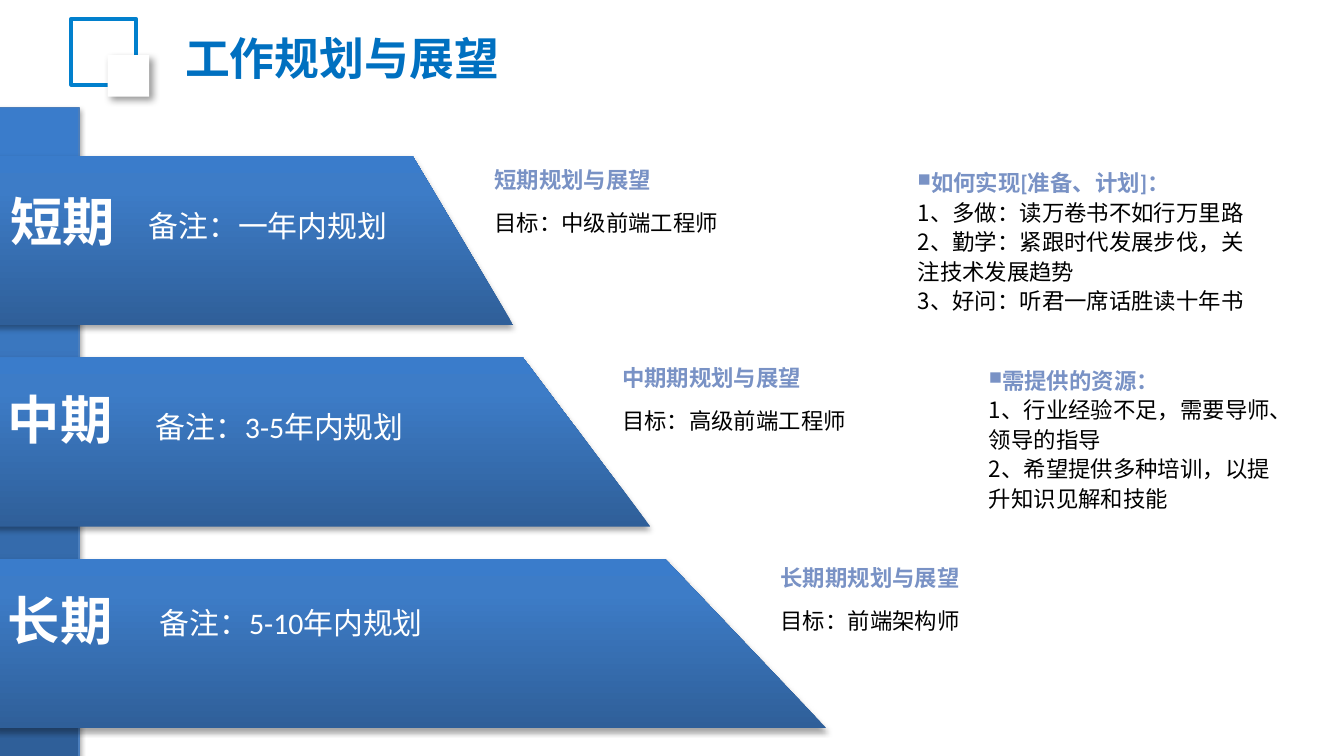
from copy import deepcopy

from lxml import etree
from pptx import Presentation
from pptx.dml.color import RGBColor
from pptx.enum.shapes import MSO_SHAPE
from pptx.enum.text import MSO_ANCHOR, MSO_AUTO_SIZE
from pptx.oxml.ns import qn
from pptx.util import Inches, Pt

RECT = MSO_SHAPE.RECTANGLE
MIDDLE = MSO_ANCHOR.MIDDLE
GROW, FIXED = MSO_AUTO_SIZE.SHAPE_TO_FIT_TEXT, MSO_AUTO_SIZE.NONE

BAR_FILL = [(0, "2F5F99"), (80, "3D7CC7"), (100, "3A7CCB")]
HEAD_FILL = [(0, "7992C5"), (100, "465E96")]
BAR_SHADOW = ("000000", 35, 3.1, 1.8, 90)
SQUARE_SHADOW = ("000000", 40, 4, 3, 45)

# Text formats
TITLE = dict(name="Noto Sans CJK SC", size=Pt(24), bold=True, color="0070C0")
LABEL = dict(name="Courier New", size=Pt(28), bold=True, color="FFFFFF")
REMARK = dict(name="Calibri", size=Pt(16), color="FFFFFF")
HEAD = dict(name="Calibri", size=Pt(12), bold=True, color=HEAD_FILL)
BODY = dict(name="Noto Sans CJK SC", size=Pt(12), bold=False, color="000000")


def rgb(value):
    return RGBColor.from_string(value)


def paint(fill, color, element, angle):
    """Fill with a hex colour, a list of gradient stops, or nothing."""
    if color is None:
        fill.background()
    elif isinstance(color, str):
        fill.solid()
        fill.fore_color.rgb = rgb(color)
    else:
        fill.gradient()
        fill.gradient_angle = angle
        stops = element.find(".//" + qn("a:gsLst"))
        while len(stops) < len(color):
            stops.append(deepcopy(stops[-1]))
        for stop, (position, value) in zip(fill.gradient_stops, color):
            stop.position = position / 100
            stop.color.rgb = rgb(value)


class Deck:
    ea_font = "Calibri"

    def __init__(self, width, height):
        self.prs = Presentation()
        self.prs.slide_width = Inches(width)
        self.prs.slide_height = Inches(height)
        self.s = self.prs.slides.add_slide(self.prs.slide_layouts[6])

    def style(self, sp, fill, line=None, shadow=None):
        sp.shadow.inherit = False
        paint(sp.fill, fill, sp._element.spPr, 90)
        if line:
            sp.line.color.rgb = rgb(line[0])
            sp.line.width = Pt(line[1])
        else:
            sp.line.fill.background()
        if shadow:
            color, alpha, blur, dist, angle = shadow
            effects = sp._element.spPr.find(qn("a:effectLst"))
            outer = etree.SubElement(
                effects, qn("a:outerShdw"), blurRad=str(Pt(blur)), dist=str(Pt(dist)),
                dir=str(angle * 60000), algn="ctr", rotWithShape="0")
            clr = etree.SubElement(outer, qn("a:srgbClr"), val=color)
            etree.SubElement(clr, qn("a:alpha"), val=str(alpha * 1000))

    def rect(self, x, y, w, h, fill=None, line=None, shadow=None, shapes=None):
        shapes = shapes or self.s.shapes
        sp = shapes.add_shape(RECT, Inches(x), Inches(y), Inches(w), Inches(h))
        self.style(sp, fill, line, shadow)

    def polygon(self, points, fill, shadow):
        pts = [(Inches(x), Inches(y)) for x, y in points]
        builder = self.s.shapes.build_freeform(*pts[0])
        builder.add_line_segments(pts[1:], close=True)
        self.style(builder.convert_to_shape(), fill, shadow=shadow)

    def text(self, x, y, w, h, lines, wrap=True, size=GROW, anchor=None):
        """Each line is (text, format, line spacing, bullet)."""
        sp = self.s.shapes.add_textbox(Inches(x), Inches(y), Inches(w), Inches(h))
        tf = sp.text_frame
        tf.word_wrap, tf.auto_size = wrap, size
        if anchor is not None:
            tf.vertical_anchor = anchor
        for i, (text, fmt, spacing, bullet) in enumerate(lines):
            p = tf.add_paragraph() if i else tf.paragraphs[0]
            if spacing:
                p.line_spacing = spacing
            if bullet:
                pPr = p._p.get_or_add_pPr()
                pPr.set("marL", "0")
                pPr.set("indent", str(Inches(-0.19)))
                etree.SubElement(pPr, qn("a:buSzPct"), val="80000")
                etree.SubElement(pPr, qn("a:buChar"), char=bullet)
            r = p.add_run()
            r.text = text
            for key, value in fmt.items():
                if key != "color":
                    setattr(r.font, key, value)
            rPr = r._r.get_or_add_rPr()
            paint(r.font.fill, fmt["color"], rPr, 270)
            rPr.find(qn("a:latin")).addnext(
                etree.Element(qn("a:ea"), typeface=self.ea_font))


def main():
    deck = Deck(10, 10 * 9 / 16)

    # Vertical band on the left
    left = -0.04
    deck.rect(left, 0.8, 0.63, 4.84, BAR_FILL, ("4B7EBC", 0.75), BAR_SHADOW)

    # Title with two squares
    deck.text(1.28, 0.08, 3.76, 0.69, [("工作规划与展望", TITLE, None, None)],
              size=FIXED, anchor=MIDDLE)
    squares = deck.s.shapes.add_group_shape().shapes
    deck.rect(0.53, 0.14, 0.48, 0.49, line=("0180CD", 2.25), shapes=squares)
    deck.rect(0.8, 0.41, 0.31, 0.31, "FFFFFF", shadow=SQUARE_SHADOW, shapes=squares)

    # Terms: bar top and bottom right, label, remark, goal
    terms = [
        (3.07, 3.82, (-0.02, 1.36, "短期"), (1.01, 1.5, 2, "备注：一年内规划"),
         (3.58, 1.19, 2.52, "短期规划与展望", "目标：中级前端工程师")),
        (3.89, 4.84, (left, 2.83, "中期"), (1.06, 2.99, 2.07, "备注：3-5年内规划"),
         (4.53, 2.66, 2.52, "中期期规划与展望", "目标：高级前端工程师")),
        (4.95, 6.15, (left, 4.33, "长期"), (1.09, 4.45, 2.18, "备注：5-10年内规划"),
         (5.71, 4.15, 2.68, "长期期规划与展望", "目标：前端架构师")),
    ]
    for i, (top_right, bottom_right, label, remark, goal) in enumerate(terms):
        top = 1.16 + 1.5 * i
        bottom = top + 1.26
        deck.polygon([(bottom_right, bottom), (top_right, top), (left, top),
                      (left, bottom)], BAR_FILL, BAR_SHADOW)
        x, y, name = label
        deck.text(x, y, 0.99, 0.57, [(name, LABEL, None, None)], wrap=False)
        x, y, w, note = remark
        deck.text(x, y, w, 0.37, [(note, REMARK, None, None)])
        x, y, w, heading, target = goal
        deck.text(x, y, 1.55, 0.3, [(heading, HEAD, None, None)])
        deck.text(x, y + 0.3, w, 0.31, [(target, BODY, 1.1, None)])

    # Bulleted notes on the right
    notes = [
        (6.73, 1.19, 2.75, "如何实现[准备、计划]：",
         ["1、多做：读万卷书不如行万里路",
          "2、勤学：紧跟时代发展步伐，关注技术发展趋势",
          "3、好问：听君一席话胜读十年书"]),
        (7.26, 2.66, 2.3, "需提供的资源：",
         ["1、行业经验不足，需要导师、领导的指导",
          "2、希望提供多种培训，以提升知识见解和技能"]),
    ]
    for x, y, w, heading, items in notes:
        lines = [(heading, HEAD, 1.1, "■")]
        lines += [(item, BODY, 1.1, None) for item in items]
        deck.text(x, y, w, 1.21, lines)

    deck.prs.save("out.pptx")


if __name__ == "__main__":
    main()
